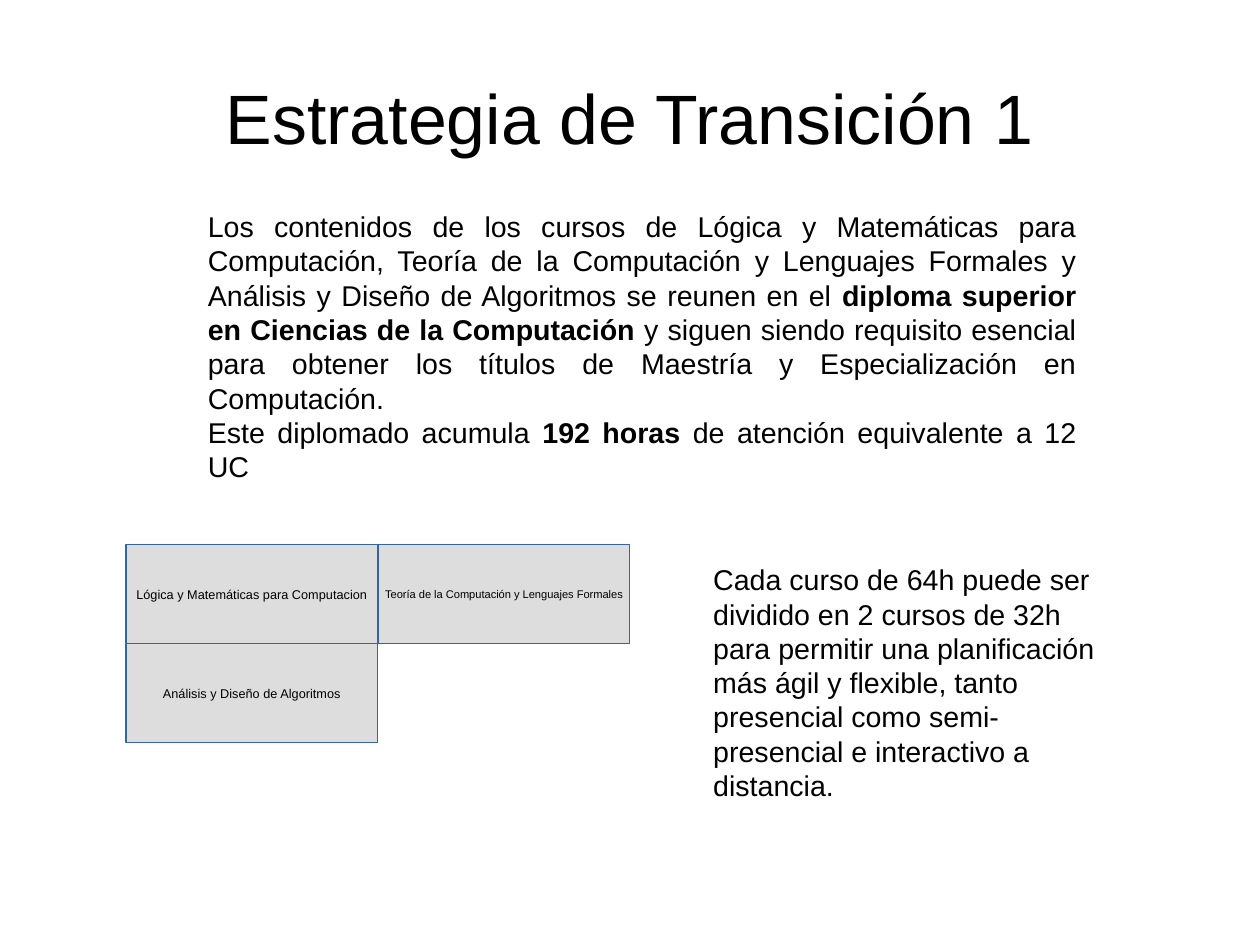
import pptx
import pptx.dml.color
import pptx.enum.shapes
import pptx.enum.text
import pptx.util

Cm = pptx.util.Cm
Pt = pptx.util.Pt
Align = pptx.enum.text.PP_ALIGN
Anchor = pptx.enum.text.MSO_ANCHOR
Fit = pptx.enum.text.MSO_AUTO_SIZE

FONT = "Arial"
COLORS = {"text": "000000", "fill": "DDDDDD", "line": "3465A4"}

SUMMARY = [
    [
        ("Los contenidos de los cursos de Lógica y Matemáticas para Computación, "
         "Teoría de la Computación y Lenguajes Formales y Análisis y Diseño de "
         "Algoritmos se reunen en el ", False),
        ("diploma superior en Ciencias de la Computación", True),
        (" y siguen siendo requisito esencial para obtener los títulos de "
         "Maestría y Especialización en Computación.", False),
    ],
    [
        ("Este diplomado acumula ", False),
        ("192 horas", True),
        (" de atención equivalente a 12 UC", False),
    ],
]
NOTE = (
    "Cada curso de 64h puede ser dividido en 2 cursos de 32h para permitir una "
    "planificación más ágil y flexible, tanto presencial como semi-presencial e "
    "interactivo a distancia."
)
# Column, row, name and text size of each course
COURSES = [
    (0, 0, "Lógica y Matemáticas para Computacion", 8),
    (0, 1, "Análisis y Diseño de Algoritmos", 8),
    (1, 0, "Teoría de la Computación y Lenguajes Formales", 7),
]


def color(name):
    return pptx.dml.color.RGBColor.from_string(COLORS[name])


def write(frame, text, size=18, align=Align.LEFT, anchor=Anchor.TOP, wrap=True):
    """Fill a frame with a string, or with paragraphs of (words, bold) runs."""
    frame.word_wrap = wrap
    frame.vertical_anchor = anchor
    paras = [[(text, False)]] if isinstance(text, str) else text
    for index, runs in enumerate(paras):
        para = frame.add_paragraph() if index else frame.paragraphs[0]
        para.alignment = align
        for words, bold in runs:
            run = para.add_run()
            run.text = words
            run.font.name = FONT
            run.font.size = Pt(size)
            run.font.bold = bold
            run.font.color.rgb = color("text")


def title(slide, left, top, width, height):
    shape = slide.shapes.title
    shape.left, shape.top = Cm(left), Cm(top)
    shape.width, shape.height = Cm(width), Cm(height)
    frame = shape.text_frame
    frame.margin_left = frame.margin_right = 0
    frame.margin_top = frame.margin_bottom = 0
    write(frame, "Estrategia de Transición 1", size=44,
          align=Align.CENTER, anchor=Anchor.MIDDLE)


def prose(slide, left, top, width, height, text, align=Align.LEFT):
    box = slide.shapes.add_textbox(Cm(left), Cm(top), Cm(width), Cm(height))
    write(box.text_frame, text, align=align)
    box.text_frame.auto_size = Fit.SHAPE_TO_FIT_TEXT


def courses(slide, left, top, width, height):
    """Place the courses on a grid of two columns and two rows."""
    wide, high = width / 2, height / 2
    for col, row, name, size in COURSES:
        cell = slide.shapes.add_shape(
            pptx.enum.shapes.MSO_SHAPE.RECTANGLE,
            Cm(left + col * wide), Cm(top + row * high), Cm(wide), Cm(high))
        cell.shadow.inherit = False
        cell.fill.solid()
        cell.fill.fore_color.rgb = color("fill")
        cell.line.color.rgb = color("line")
        cell.line.width = Pt(0)
        write(cell.text_frame, name, size=size, align=Align.CENTER,
              anchor=Anchor.MIDDLE, wrap=False)


def main():
    deck = pptx.Presentation()
    deck.slide_width, deck.slide_height = Cm(28), Cm(21)
    slide = deck.slides.add_slide(deck.slide_layouts.get_by_name("Title Only"))
    title(slide, 1.4, 0.84, 25.2, 3.5)
    courses(slide, 2.8, 12.1, 11.2, 4.4)
    prose(slide, 15.6, 12.37, 9.6, 5.23, NOTE)
    prose(slide, 4.37, 4.52, 19.8, 5.94, SUMMARY, align=Align.JUSTIFY)
    deck.save("out.pptx")


if __name__ == "__main__":
    main()
